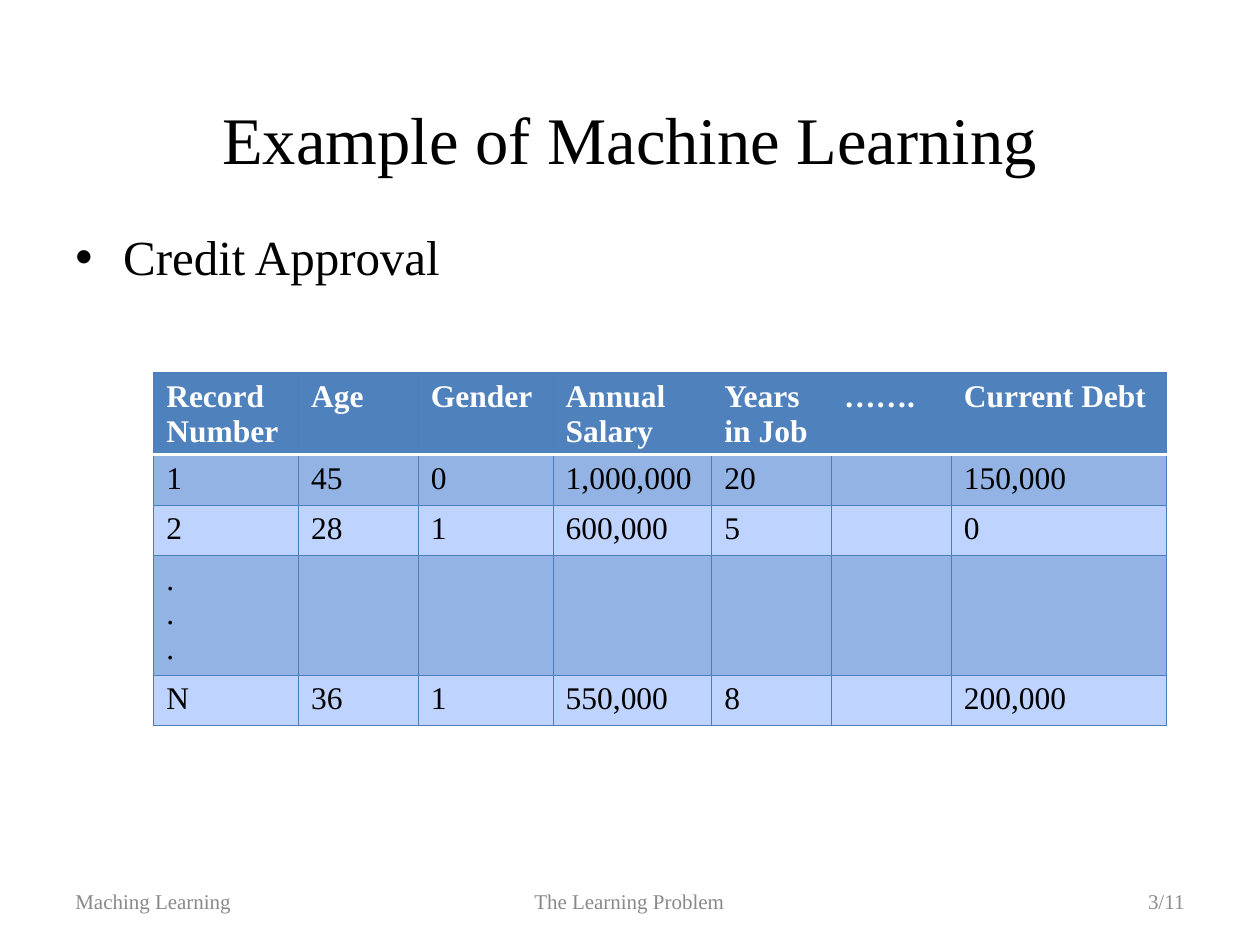
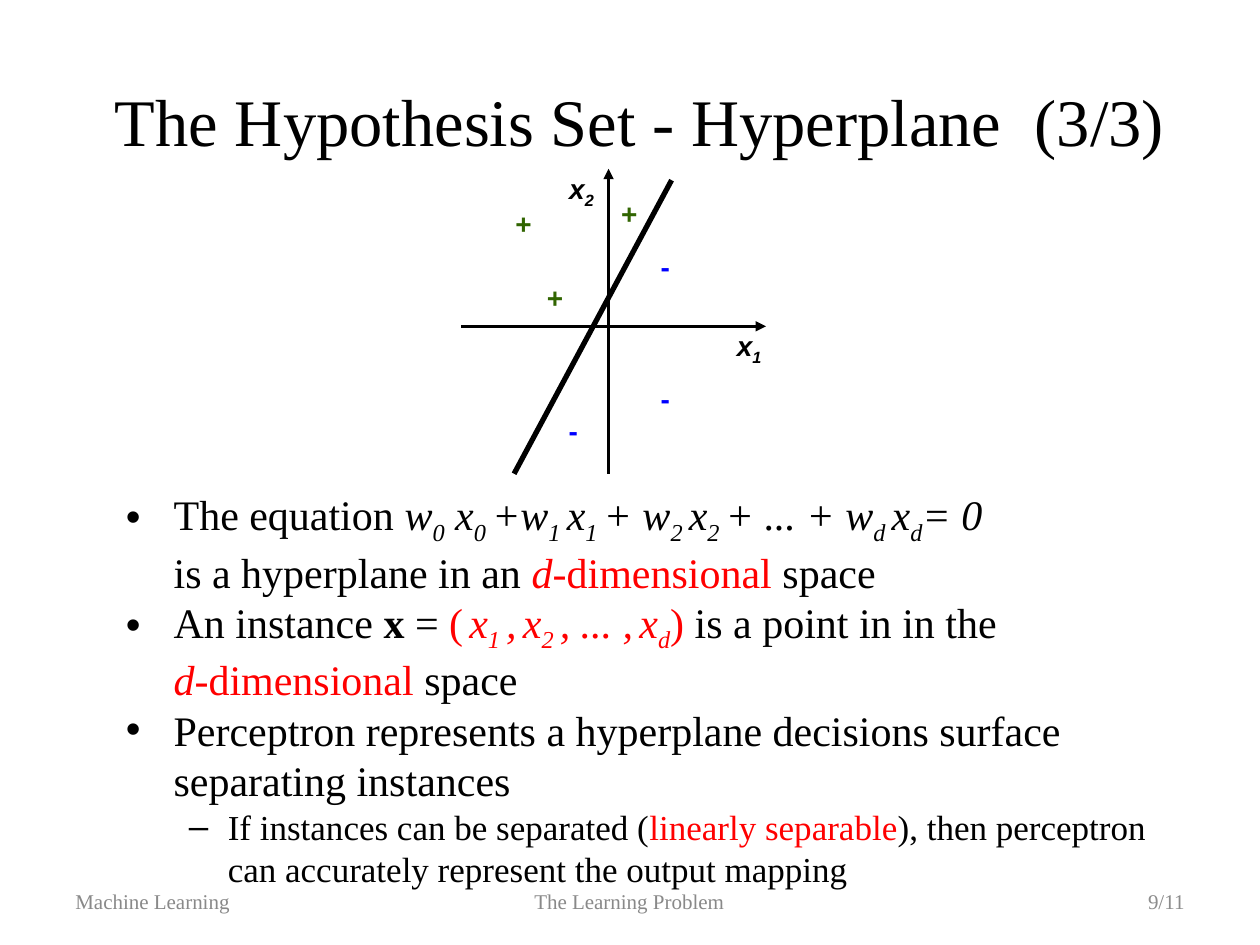
from lxml.etree import SubElement
from pptx import Presentation
from pptx.dml.color import RGBColor
from pptx.enum.shapes import MSO_CONNECTOR
from pptx.enum.text import MSO_ANCHOR, PP_ALIGN
from pptx.oxml import parse_xml
from pptx.oxml.ns import nsdecls, qn
from pptx.util import Inches, Pt

BLACK = RGBColor(0x00, 0x00, 0x00)
WHITE = RGBColor(0xFF, 0xFF, 0xFF)
RED = RGBColor(0xFF, 0x00, 0x00)
GREEN = RGBColor(0x31, 0x65, 0x01)
BLUE = RGBColor(0x00, 0x00, 0xFF)
FOOTER_GRAY = RGBColor(0x89, 0x89, 0x89)
NUMBER_GRAY = RGBColor(0x8C, 0x8C, 0x8C)
HEADER_BLUE = RGBColor(0x4F, 0x81, 0xBD)
DARK_BAND = RGBColor(0x93, 0xB3, 0xE5)
LIGHT_BAND = RGBColor(0xBF, 0xD3, 0xFF)
GRID_BLUE = RGBColor(0x4B, 0x7E, 0xBC)

SERIF = "Times New Roman"
SANS = "Arial"


def write(frame, text, size=18, color=BLACK, font=SERIF, bold=False,
          italic=False, align=PP_ALIGN.LEFT, bullet=None, indent=(0, 0),
          before=0):
    """Add a paragraph; text is a string or (string, style) pairs.

    Style letters: b bold, i italic, s subscript, r red.
    """
    paragraph = frame.paragraphs[0]
    if paragraph.runs:
        paragraph = frame.add_paragraph()
    paragraph.alignment = align
    paragraph.space_before = Pt(before)
    if bullet:
        properties = paragraph._p.get_or_add_pPr()
        properties.set("marL", str(Inches(indent[0])))
        properties.set("indent", str(Inches(indent[1])))
        SubElement(properties, qn("a:buFont")).set("typeface", SANS)
        SubElement(properties, qn("a:buChar")).set("char", bullet)
    for words, style in [(text, "")] if isinstance(text, str) else text:
        for number, line in enumerate(words.split("\n")):
            if number:
                paragraph.add_line_break()
            if not line:
                continue
            run = paragraph.add_run()
            run.text = line
            run.font.name = font
            run.font.size = Pt(size)
            run.font.bold = bold or "b" in style
            run.font.italic = italic or "i" in style
            run.font.color.rgb = RED if "r" in style else color
            if "s" in style:
                run.font._element.set("baseline", "-25000")


def text_frame(slide, left, top, width, height, anchor=MSO_ANCHOR.TOP, wrap=True):
    box = slide.shapes.add_textbox(
        Inches(left), Inches(top), Inches(width), Inches(height))
    box.text_frame.word_wrap = wrap
    box.text_frame.vertical_anchor = anchor
    return box.text_frame


presentation = Presentation()
presentation.slide_width = Inches(10)
presentation.slide_height = Inches(7.5)

# Titles and footers of both slides
pages = []
for title, title_box, course, page_number in [
    ("Example of Machine Learning", (0.5, 0.47, 9, 1.25), "Maching Learning", "3/11"),
    ("The Hypothesis Set - Hyperplane  (3/3)", (0.75, 0.33, 8.66, 1.25),
     "Machine Learning", "9/11"),
]:
    page = presentation.slides.add_slide(presentation.slide_layouts[6])
    pages.append(page)
    write(text_frame(page, *title_box, anchor=MSO_ANCHOR.MIDDLE), title,
          size=38, align=PP_ALIGN.CENTER)
    for left, width, words, align, color in [
        (0.5, 2.33, course, PP_ALIGN.LEFT, FOOTER_GRAY),
        (3.41, 3.17, "The Learning Problem", PP_ALIGN.CENTER, FOOTER_GRAY),
        (7.17, 2.33, page_number, PP_ALIGN.RIGHT, NUMBER_GRAY),
    ]:
        write(text_frame(page, left, 6.95, width, 0.4, anchor=MSO_ANCHOR.MIDDLE),
              words, size=12, color=color, align=align)
example, hyperplane = pages

# Credit approval: bullet and records table
write(text_frame(example, 0.5, 1.75, 9, 4.95), "Credit Approval", size=28,
      bullet="•", indent=(0.38, -0.38), before=3)

records = [
    ["Record\nNumber", "Age", "Gender", "Annual \nSalary", "Years in Job",
     "…….", "Current Debt"],
    ["1", "45", "0", "1,000,000", "20", "", "150,000"],
    ["2", "28", "1", "600,000", "5", "", "0"],
    [".\n.\n.", "", "", "", "", "", ""],
    ["N", "36", "1", "550,000", "8", "", "200,000"],
]
column_widths = [1.15, 0.95, 1.07, 1.26, 0.95, 0.95, 1.71]
row_height = 0.4
table = example.shapes.add_table(
    len(records), len(column_widths), Inches(1.22), Inches(2.96),
    Inches(sum(column_widths)), Inches(row_height * len(records))).table
for column, width in zip(table.columns, column_widths):
    column.width = Inches(width)
for row_number, record in enumerate(records):
    table.rows[row_number].height = Inches(row_height)
    is_header = row_number == 0
    band = HEADER_BLUE if is_header else (LIGHT_BAND, DARK_BAND)[row_number % 2]
    for column_number, value in enumerate(record):
        cell = table.cell(row_number, column_number)
        cell.margin_bottom = 0
        for line in value.split("\n"):
            write(cell.text_frame, line, bold=is_header,
                  color=WHITE if is_header else BLACK)
        cell.fill.solid()
        cell.fill.fore_color.rgb = band
        # The rule under the header is white and thicker
        for position, side in enumerate(["lnL", "lnR", "lnT", "lnB"]):
            under_header = (row_number, side) in [(0, "lnB"), (1, "lnT")]
            color, points = (WHITE, 2) if under_header else (GRID_BLUE, 0.75)
            cell._tc.get_or_add_tcPr().insert(position, parse_xml(
                f'<a:{side} {nsdecls("a")} w="{Pt(points)}"><a:solidFill>'
                f'<a:srgbClr val="{color}"/></a:solidFill></a:{side}>'))

# Hyperplane: statements
statements = text_frame(hyperplane, 0.9, 3.83, 8.5, 3.17)
for statement in [
    [("The equation ", ""), ("w", "i"), ("0", "is"), (" x", "i"), ("0 ", "is"),
     ("+w", "i"), ("1 ", "is"), ("x", "i"), ("1 ", "is"), ("+ w", "i"),
     ("2 ", "is"), ("x", "i"), ("2 ", "is"), ("+ ... + w", "i"), ("d ", "is"),
     ("x", "i"), ("d", "is"), ("= 0\n", "i"), ("is a hyperplane in an ", ""),
     ("d", "ir"), ("-dimensional ", "r"), ("space", "")],
    [("An instance ", ""), ("x", "b"), (" = ", ""), ("(", "r"), (" ", "rs"),
     ("x", "ir"), ("1 ", "irs"), (",", "ir"), (" ", "irs"), ("x", "ir"),
     ("2 ", "irs"), (", ... ,", "ir"), (" ", "irs"), ("x", "ir"),
     ("d", "irs"), (") ", "r"), ("is a point in in the \n", ""),
     ("d", "ir"), ("-dimensional ", "r"), ("space", "")],
    "Perceptron represents a hyperplane decisions surface separating instances ",
]:
    write(statements, statement, size=24, bullet="•", indent=(0.38, -0.38))
write(statements,
      [("If instances can be separated (", ""), ("linearly separable", "r"),
       ("), then perceptron can accurately represent the output mapping", "")],
      size=20, bullet="–", indent=(0.81, -0.31))

# Hyperplane: separating line and the two axes
for x1, y1, x2, y2, points, is_axis in [
    (4.08, 3.76, 5.33, 1.43, 3, False),
    (4.83, 3.76, 4.83, 1.34, 1.5, True),
    (3.66, 2.59, 6.08, 2.59, 1.5, True),
]:
    line = hyperplane.shapes.add_connector(
        MSO_CONNECTOR.STRAIGHT, Inches(x1), Inches(y1), Inches(x2), Inches(y2))
    line.line.color.rgb = BLACK
    line.line.width = Pt(points)
    if is_axis:
        SubElement(line.line._get_or_add_ln(), qn("a:tailEnd")).set("type", "triangle")
    SubElement(line._element.spPr, qn("a:effectLst"))

# Hyperplane: positive and negative instances
for sign, color, width, places in [
    ("+", GREEN, 0.33, [(4.83, 1.51), (4.24, 2.18), (3.99, 1.59)]),
    ("-", BLUE, 0.28, [(5.14, 1.93), (5.14, 2.98), (4.41, 3.23)]),
]:
    for left, top in places:
        write(text_frame(hyperplane, left, top, width, 0.37, wrap=False), sign,
              size=16, color=color, font=SANS, bold=True, align=PP_ALIGN.CENTER)

# Hyperplane: axis names
for index, left, top in [("1", 5.74, 2.56), ("2", 4.41, 1.31)]:
    write(text_frame(hyperplane, left, top, 0.41, 0.37, wrap=False),
          [("x", ""), (index, "s")], size=16, font=SANS, bold=True, italic=True,
          align=PP_ALIGN.CENTER)

presentation.save("out.pptx")
